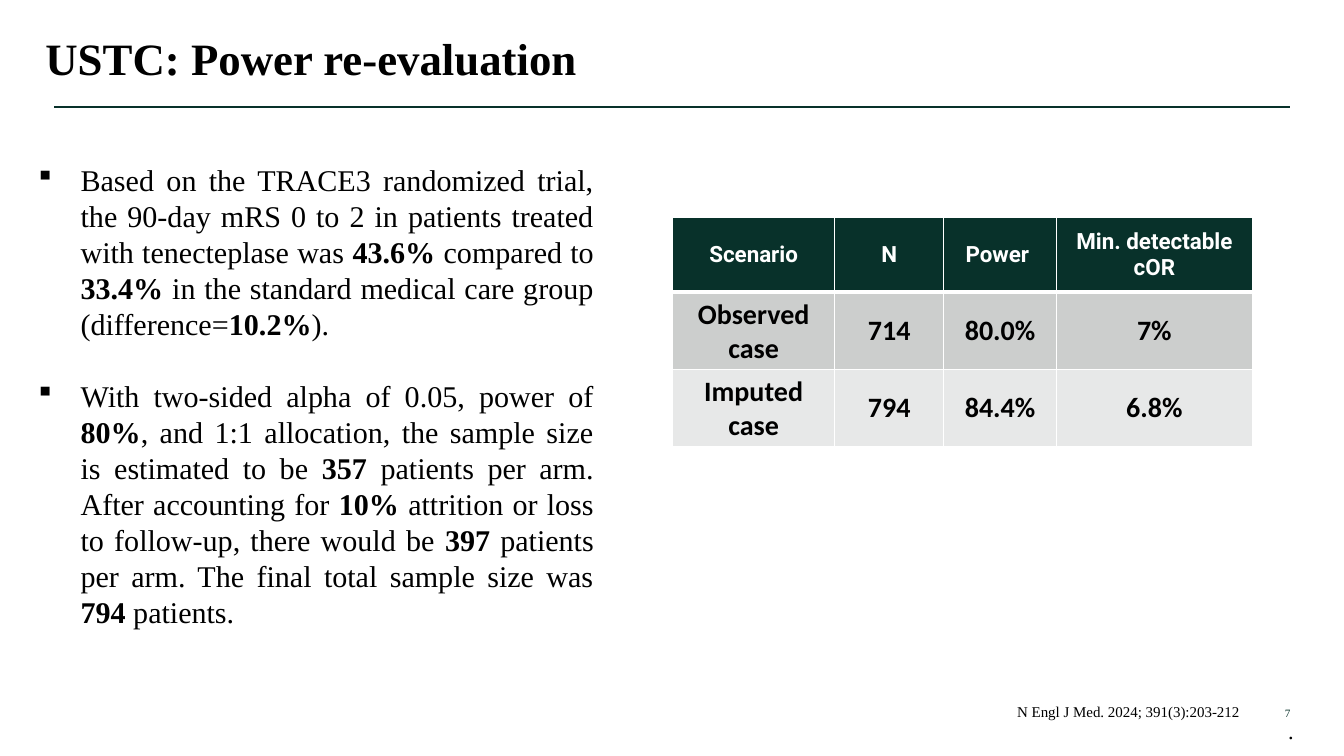
from lxml import etree
from pptx import Presentation, util as u
from pptx.dml.color import RGBColor
from pptx.enum import shapes, text
from pptx.oxml.ns import qn

WIDTH, HEIGHT = u.Inches(13.33), u.Inches(7.5)
GREEN = RGBColor(0x08, 0x31, 0x2A)
BLACK = RGBColor(0, 0, 0)
WHITE = RGBColor(255, 255, 255)
ROW_FILLS = [GREEN, RGBColor(0xCC, 0xCE, 0xCD), RGBColor(0xE7, 0xE8, 0xE8)]
SERIF = "Times New Roman"
ALIGN = text.PP_ALIGN
ANCHOR = text.MSO_ANCHOR

FINDINGS = [
    "Based on the TRACE3 randomized trial, the 90-day mRS 0 to 2 in patients treated with "
    "tenecteplase was **43.6% **compared to **33.4% **in the standard medical care group "
    "(difference=**10.2%**). ",
    "With two-sided alpha of 0.05, power of **80%**, and 1:1 allocation, the sample size is "
    "estimated to be **357 **patients per arm. After accounting for **10%** attrition or loss "
    "to follow-up, there would be **397 **patients per arm. The final total sample size was "
    "**794** patients.",
]
SCENARIOS = [
    ["Scenario", "N", "Power ", "Min. detectable cOR"],
    ["Observed case", "714", "80.0%", "7%"],
    ["Imputed case", "794", "84.4%", "6.8%"],
]


def inches(*lengths):
    return [u.Inches(length) for length in lengths]


def write(paragraph, words, size, font=SERIF, color=BLACK, bold=False, align=ALIGN.LEFT):
    paragraph.alignment = align
    for index, part in enumerate(words.split("**")):
        run = paragraph.add_run()
        run.text = part
        run.font.size = u.Pt(size)
        run.font.name = font
        run.font.bold = bold or index % 2 == 1
        run.font.color.rgb = color


def add_frame(slide, box, insets=(0.1, 0.05, 0.1, 0.05), anchor=ANCHOR.TOP):
    frame = slide.shapes.add_textbox(*box).text_frame
    frame.word_wrap = True
    frame.vertical_anchor = anchor
    (frame.margin_left, frame.margin_top,
     frame.margin_right, frame.margin_bottom) = inches(*insets)
    return frame


def add_heading(slide, box):
    left, top, width, height = box
    frame = add_frame(slide, (left, top, int(width * 0.8), height), (0.2, 0, 0.1, 0))
    title = frame.paragraphs[0]
    title.line_spacing = 0.9
    write(title, "USTC: Power re-evaluation", 32, bold=True)
    rule_y = top + u.Inches(0.7)
    rule = slide.shapes.add_connector(shapes.MSO_CONNECTOR.STRAIGHT, left + u.Inches(0.29),
                                      rule_y, left + width, rule_y)
    rule.line.color.rgb = GREEN
    rule.line.width = u.Pt(1.5)
    etree.SubElement(rule._element.spPr, qn("a:effectLst"))


def add_findings(slide, box):
    frame = add_frame(slide, box, (0.13, 0.07, 0.13, 0.07))
    for index, finding in enumerate(FINDINGS):
        paragraph = frame.add_paragraph() if index else frame.paragraphs[0]
        properties = paragraph._p.get_or_add_pPr()
        properties.set("marL", str(u.Inches(0.42)))
        properties.set("indent", str(-u.Inches(0.42)))
        etree.SubElement(properties, qn("a:buFont")).set("typeface", "Wingdings")
        etree.SubElement(properties, qn("a:buChar")).set("char", "§")
        if index:
            paragraph.space_before = u.Pt(25.2)
        write(paragraph, finding, 21.5, align=ALIGN.JUSTIFY)


def add_borders(cell, bottom_width):
    properties = cell._tc.get_or_add_tcPr()
    widths = {"a:lnL": 1, "a:lnR": 1, "a:lnT": 1, "a:lnB": bottom_width}
    for position, (side, width) in enumerate(widths.items()):
        border = etree.Element(qn(side), w=str(u.Pt(width)))
        fill = etree.SubElement(border, qn("a:solidFill"))
        etree.SubElement(fill, qn("a:srgbClr"), val=str(WHITE))
        properties.insert(position, border)


def add_scenarios(slide, box):
    table = slide.shapes.add_table(len(SCENARIOS), len(SCENARIOS[0]), *box).table
    for column, width in zip(table.columns, inches(1.61, 1.08, 1.12, 1.94)):
        column.width = width
    for row, height in zip(table.rows, inches(0.74, 0.76, 0.76)):
        row.height = height
    for r, scenario in enumerate(SCENARIOS):
        header = r == 0
        for c, words in enumerate(scenario):
            cell = table.cell(r, c)
            cell.fill.solid()
            cell.fill.fore_color.rgb = ROW_FILLS[r]
            cell.vertical_anchor = ANCHOR.MIDDLE
            add_borders(cell, 3 if header else 1)
            write(cell.text_frame.paragraphs[0], words, 16 if header else 20,
                  font="Roboto" if header else "Calibri",
                  color=WHITE if header else BLACK, bold=True, align=ALIGN.CENTER)


def add_footer(slide, box):
    left, top, width, height = box
    right = left + width
    number_width, source_width = inches(0.31, 2.5)
    number_left = right - u.Inches(0.13) - number_width
    number = add_frame(slide, (number_left, top, number_width, number_width),
                       (0, 0, 0, 0), ANCHOR.BOTTOM)
    write(number.paragraphs[0], "7", 8, color=GREEN, align=ALIGN.RIGHT)
    stop_height = u.Inches(0.37)
    stop = add_frame(slide, (left, top + height - stop_height, width, stop_height))
    write(stop.paragraphs[0], ".", 16, align=ALIGN.RIGHT)
    source = add_frame(slide, (number_left - source_width, top + u.Inches(0.09),
                               source_width, u.Inches(0.28)))
    write(source.paragraphs[0], "N Engl J Med. 2024; 391(3):203-212", 10.7)


def main():
    deck = Presentation()
    deck.slide_width, deck.slide_height = WIDTH, HEIGHT
    slide = deck.slides.add_slide(deck.slide_layouts[6])
    add_heading(slide, inches(0.25, 0.36, 12.54, 0.55))
    add_findings(slide, inches(0.25, 1.53, 5.77, 5.16))
    add_scenarios(slide, inches(6.67, 2.16, 5.75, 2.26))
    add_footer(slide, inches(8.76, 6.83, 4.17, 0.61))
    deck.save("out.pptx")


if __name__ == "__main__":
    main()
